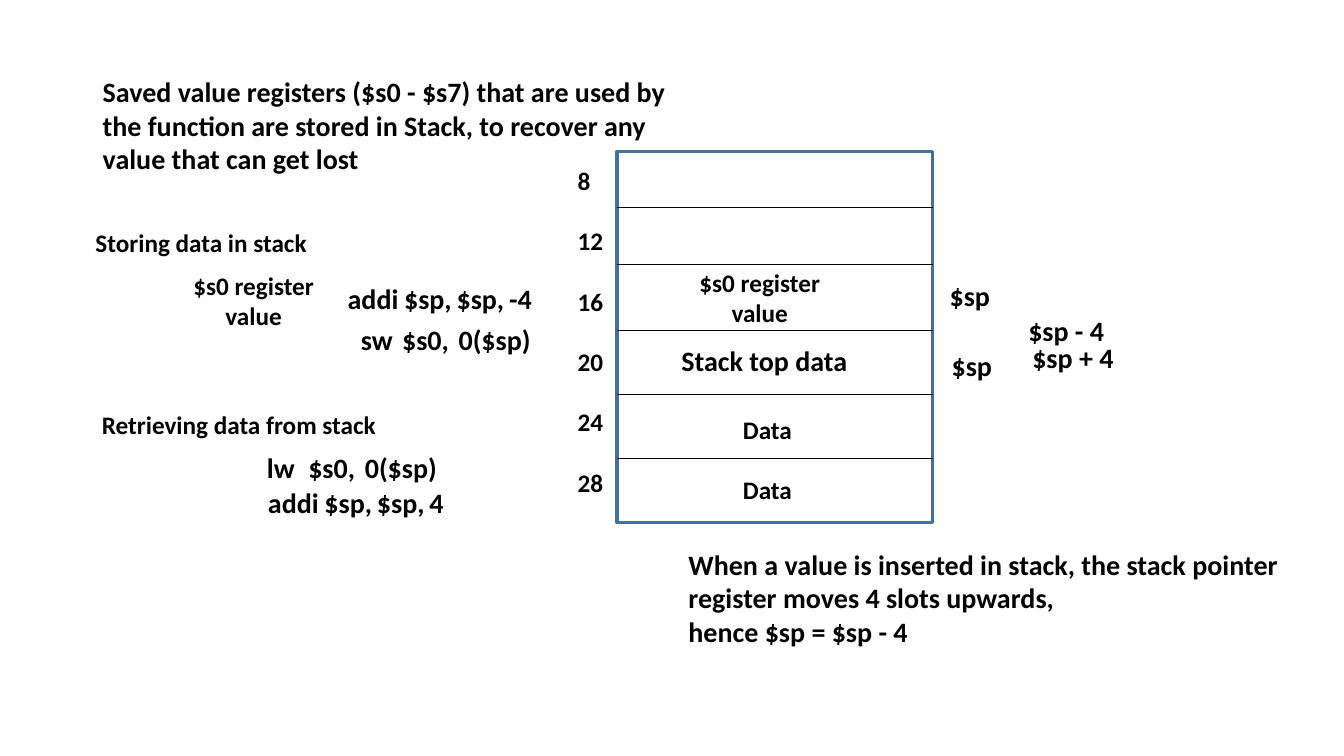
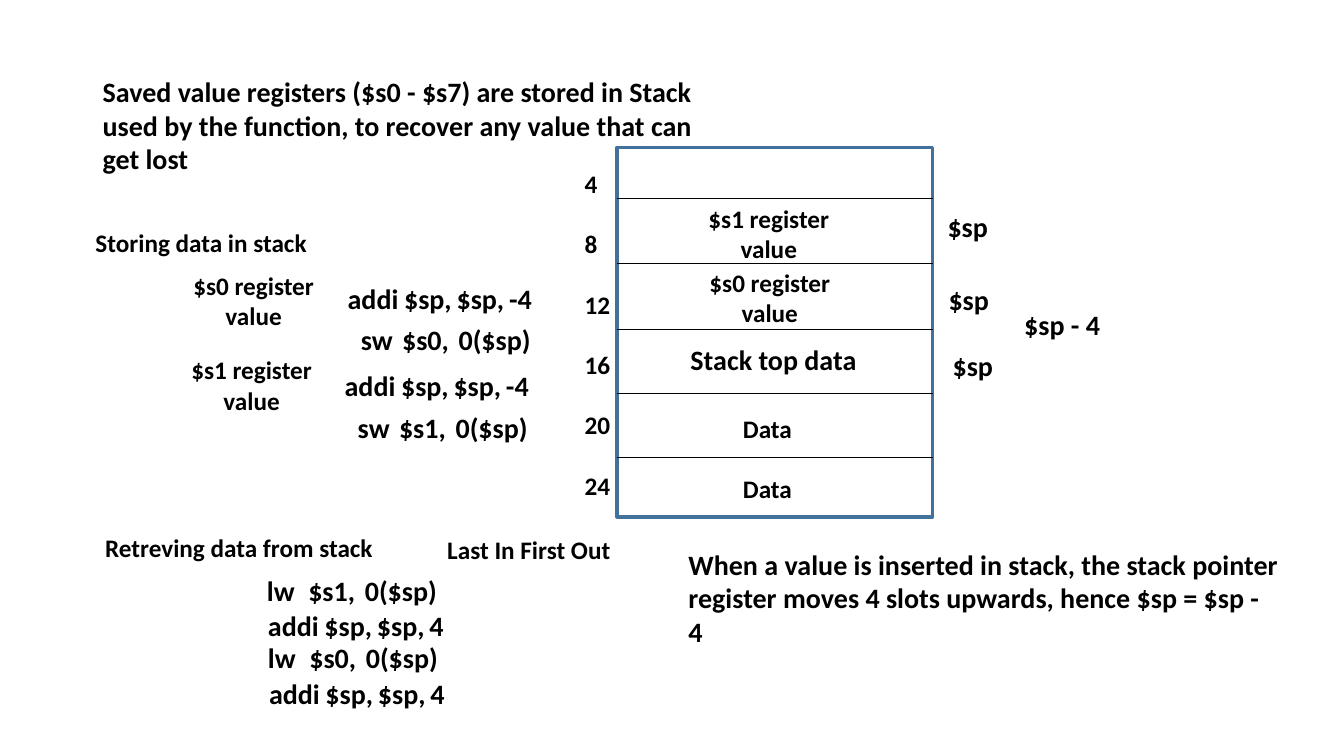
from lxml import etree
from pptx import Presentation
from pptx import util as u
from pptx.dml.color import RGBColor
from pptx.enum import shapes, text
from pptx.oxml import ns

COLORS = {"ink": "000000", "stack": "42719B"}
FONT = "Calibri"
BODY, SMALL = 20, 18
HEIGHTS = {BODY: 0.44, SMALL: 0.4}
NOTE_SIZE = (6.06, 1.11)
REGISTER_SIZE = (1.85, 0.71)
MEMORY_COLUMNS = ((0, 0.6), (0.41, 0.74), (0.97, 0.99))
ADDI_COLUMNS = ((0, 0.76), (0.56, 0.74), (1.08, 0.99), (1.6, 0.99))
CENTER = text.PP_ALIGN.CENTER


def add_label(slide, left, top, width, lines, size=BODY, height=None, align=None, gap=0):
    shape = slide.shapes.add_textbox(
        u.Inches(left), u.Inches(top), u.Inches(width), u.Inches(height or HEIGHTS[size])
    )
    frame = shape.text_frame
    frame.word_wrap = True
    frame.auto_size = text.MSO_AUTO_SIZE.SHAPE_TO_FIT_TEXT
    for index, line in enumerate(lines):
        paragraph = frame.add_paragraph() if index else frame.paragraphs[0]
        paragraph.alignment = align
        paragraph.space_before = u.Pt(gap if index else 0)
        run = paragraph.add_run()
        run.text = line
        run.font.name = FONT
        run.font.size = u.Pt(size)
        run.font.bold = True
        run.font.color.rgb = RGBColor.from_string(COLORS["ink"])


def add_note(slide, left, top, lines):
    width, height = NOTE_SIZE
    add_label(slide, left, top, width, lines, height=height)


def add_register_value(slide, left, top, register):
    width, height = REGISTER_SIZE
    add_label(slide, left, top, width, [f"{register} register value"], SMALL, height, CENTER)


def add_heading(slide, left, top, width, heading):
    add_label(slide, left, top, width, [heading], SMALL, align=CENTER)


def add_instruction(slide, left, top, words, columns):
    for word, (offset, width) in zip(words, columns):
        add_label(slide, left + offset, top, width, [word])


def add_memory_access(slide, left, top, operation, register):
    add_instruction(slide, left, top, (operation, f"{register},", "0($sp)"), MEMORY_COLUMNS)


def add_pointer_move(slide, left, top, amount):
    add_instruction(slide, left, top, ("addi", "$sp,", "$sp,", amount), ADDI_COLUMNS)


def add_store_step(slide, left, top, register, code_at):
    add_register_value(slide, left, top, register)
    code_left, code_top = left + code_at[0], top + code_at[1]
    add_pointer_move(slide, code_left, code_top, "-4")
    add_memory_access(slide, code_left + 0.13, code_top + 0.41, "sw", register)


def add_retrieve_step(slide, left, top, register):
    add_memory_access(slide, left, top, "lw", register)
    add_pointer_move(slide, left + 0.01, top + 0.35, "4")


def add_divider(slide, left, top, width):
    line = slide.shapes.add_connector(
        shapes.MSO_CONNECTOR.STRAIGHT,
        u.Inches(left), u.Inches(top), u.Inches(left + width), u.Inches(top),
    )
    line.line.color.rgb = RGBColor.from_string(COLORS["ink"])
    line.line.width = u.Pt(0.75)
    etree.SubElement(line._element.spPr, ns.qn("a:effectLst"))


def add_stack(slide, box, dividers, addresses, address_at, top_data_at, registers):
    left, top, width, height = box
    frame = slide.shapes.add_shape(
        shapes.MSO_SHAPE.RECTANGLE,
        u.Inches(left), u.Inches(top), u.Inches(width), u.Inches(height),
    )
    frame.shadow.inherit = False
    frame.fill.background()
    frame.line.color.rgb = RGBColor.from_string(COLORS["stack"])
    frame.line.width = u.Pt(2.25)
    for offset in dividers:
        add_divider(slide, left, top + offset, width)

    address_left, address_top = address_at
    add_label(slide, left + address_left, top + address_top, 0.48,
              [str(address) for address in addresses], SMALL, 3.43, gap=21.5)
    for offset, row, register in registers:
        add_register_value(slide, left + offset, top + row, register)
    data_left, data_top = top_data_at
    add_label(slide, left + data_left, top + data_top, 1.92, ["Stack top data"])
    for row in (0.7, 1.3):
        add_label(slide, left + 1.15, top + data_top + row, 2.28, ["Data"], SMALL)


def add_pointers(slide, left, pointers, moves):
    for offset, top in pointers:
        add_label(slide, left + offset, top, 0.76, ["$sp"])
    for offset, top, move in moves:
        add_label(slide, left + offset, top, 1.15, [move])


def build_single_register(slide):
    add_stack(slide, (6.12, 1.5, 3.13, 3.68), (0.56, 1.12, 1.78, 2.41, 3.05),
              range(8, 32, 4), (-0.49, 0.09), (0.54, 1.86), [(0.49, 1.1, "$s0")])
    add_pointers(slide, 9.32, [(0, 2.71), (0.02, 3.41)],
                 [(0.78, 3.06, "$sp - 4"), (0.82, 3.33, "$sp + 4")])
    add_note(slide, 0.92, 0.69, [
        "Saved value registers ($s0 - $s7) that are used by the function are stored in Stack, "
        "to recover any value that can get lost"])
    add_note(slide, 6.73, 5.38, [
        "When a value is inserted in stack, the stack pointer register moves 4 slots upwards,",
        "hence $sp = $sp - 4"])
    add_heading(slide, 0.77, 2.21, 2.45, "Storing data in stack")
    add_store_step(slide, 1.59, 2.63, "$s0", (1.76, 0.11))
    add_heading(slide, 0.86, 4.01, 3.02, "Retrieving data from stack")
    add_retrieve_step(slide, 2.55, 4.42, "$s0")


def build_two_registers(slide):
    add_stack(slide, (6.12, 1.46, 3.13, 3.67), (0.51, 1.15, 1.81, 2.44, 3.08),
              range(4, 28, 4), (-0.42, 0.16), (0.63, 1.89),
              [(0.58, 0.51, "$s1"), (0.59, 1.14, "$s0")])
    add_pointers(slide, 9.3, [(0, 2.03), (0.01, 2.75), (0.05, 3.41)], [(0.76, 3, "$sp - 4")])
    add_note(slide, 0.92, 0.69, [
        "Saved value registers ($s0 - $s7) are stored in Stack used by the function, "
        "to recover any value that can get lost"])
    add_note(slide, 6.73, 5.38, [
        "When a value is inserted in stack, the stack pointer register moves 4 slots upwards, "
        "hence $sp = $sp - 4"])
    add_heading(slide, 0.77, 2.21, 2.45, "Storing data in stack")
    add_store_step(slide, 1.59, 2.63, "$s0", (1.76, 0.11))
    add_store_step(slide, 1.57, 3.47, "$s1", (1.75, 0.14))
    add_heading(slide, 0.86, 5.23, 3.02, "Retreving data from stack")
    add_heading(slide, 4.32, 5.25, 1.85, "Last In First Out")
    add_retrieve_step(slide, 2.55, 5.64, "$s1")
    add_retrieve_step(slide, 2.56, 6.31, "$s0")


def main():
    presentation = Presentation()
    presentation.slide_width = u.Inches(13.33)
    presentation.slide_height = u.Inches(7.5)
    for build in (build_single_register, build_two_registers):
        build(presentation.slides.add_slide(presentation.slide_layouts[6]))
    presentation.save("out.pptx")


if __name__ == "__main__":
    main()
